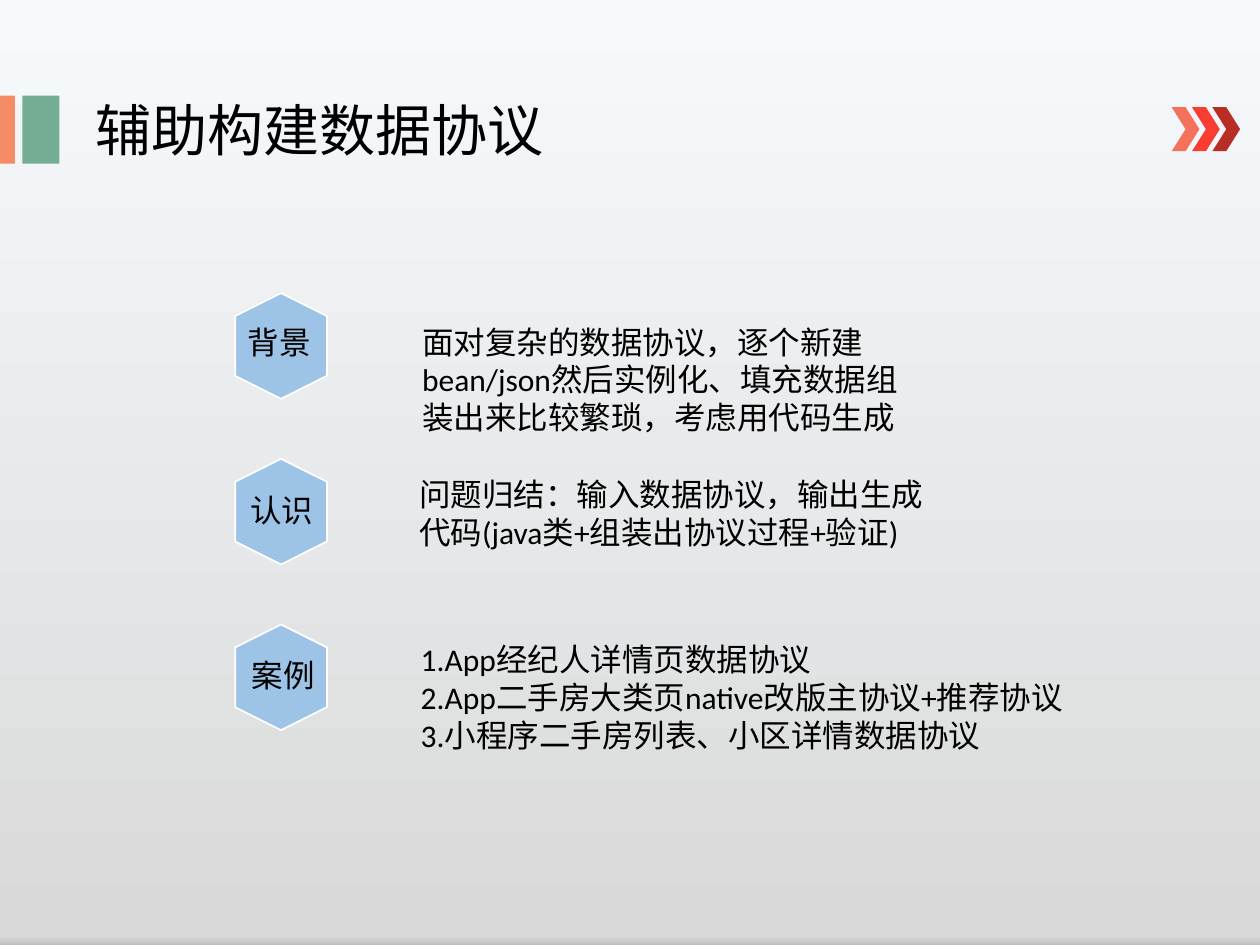
from lxml.etree import SubElement
from pptx import Presentation
from pptx.dml.color import RGBColor
from pptx.enum.shapes import MSO_SHAPE
from pptx.oxml.ns import qn
from pptx.util import Cm, Pt

STOPS = [(0, "F7FAFD"), (99, "D9D9D9"), (100, "BFBFBF"), (100, "F2F2F2"), (100, "CEE1F2")]
HEX_TOP, HEX_PITCH = 6.05, 3.34
SECTIONS = [
    ("背景", (4.75, 6.38), (8.26, 6.38, 10.57, 2.56),
     "面对复杂的数据协议，逐个新建bean/json然后实例化、填充数据组装出来比较繁琐，考虑用代码生成"),
    ("认识", (4.8, 9.78), (8.2, 9.45, 10.92, 1.8),
     "问题归结：输入数据协议，输出生成代码(java类+组装出协议过程+验证)"),
    ("案例", (4.83, 13.11), (8.23, 12.78, 13.74, 2.56),
     "1.App经纪人详情页数据协议\n"
     "2.App二手房大类页native改版主协议+推荐协议\n"
     "3.小程序二手房列表、小区详情数据协议"),
]


def rgb(color):
    return RGBColor.from_string(color)


def set_background(s):
    fill = s.background.fill
    fill.gradient()
    fill.gradient_angle = 270
    stops = s.element.find(".//" + qn("a:gsLst"))
    for stop in list(stops):
        stops.remove(stop)
    for position, color in STOPS:
        stop = SubElement(stops, qn("a:gs"), pos=str(position * 1000))
        SubElement(stop, qn("a:srgbClr"), val=color)


def add_shape(s, kind, x, y, w, h, color, line=None):
    sp = s.shapes.add_shape(kind, Cm(x), Cm(y), Cm(w), Cm(h))
    sp.shadow.inherit = False
    sp.fill.solid()
    sp.fill.fore_color.rgb = rgb(color)
    if line:
        sp.line.color.rgb = rgb(line)
        sp.line.width = Pt(1)
    else:
        sp.line.fill.background()
    return sp


def add_text(s, x, y, w, h, text, size=18):
    tf = s.shapes.add_textbox(Cm(x), Cm(y), Cm(w), Cm(h)).text_frame
    tf.word_wrap = True
    tf.text = text
    for p in tf.paragraphs:
        for r in p.runs:
            r.font.name = "Calibri"
            r.font.size = Pt(size)
            r.font.color.rgb = rgb("000000")


def add_header(s):
    add_shape(s, MSO_SHAPE.RECTANGLE, 0, 1.93, 0.3, 1.37, "F58C65")
    add_shape(s, MSO_SHAPE.RECTANGLE, 0.45, 1.93, 0.75, 1.37, "74AD93")
    add_text(s, 1.68, 1.8, 17.7, 1.63, "辅助构建数据协议", 32)
    for i, color in enumerate(["F5715B", "F93D32", "B82E24"]):
        add_shape(s, MSO_SHAPE.CHEVRON, 23.62 + i * 0.41, 2.16, 0.56, 0.89, color)


def add_section(s, index, label, label_at, body_box, body):
    top = HEX_TOP + index * HEX_PITCH
    sp = add_shape(s, MSO_SHAPE.HEXAGON, 4.6, top, 2.13, 1.85, "9DC3E6", "FFFFFF")
    sp.rotation = 90
    add_text(s, *label_at, 3.53, 1.02, label)
    add_text(s, *body_box, body)


def main():
    prs = Presentation()
    prs.slide_width, prs.slide_height = Cm(25.4), Cm(19.05)
    s = prs.slides.add_slide(prs.slide_layouts[6])
    set_background(s)
    add_header(s)
    for i, section in enumerate(SECTIONS):
        add_section(s, i, *section)
    prs.save("out.pptx")


if __name__ == "__main__":
    main()
